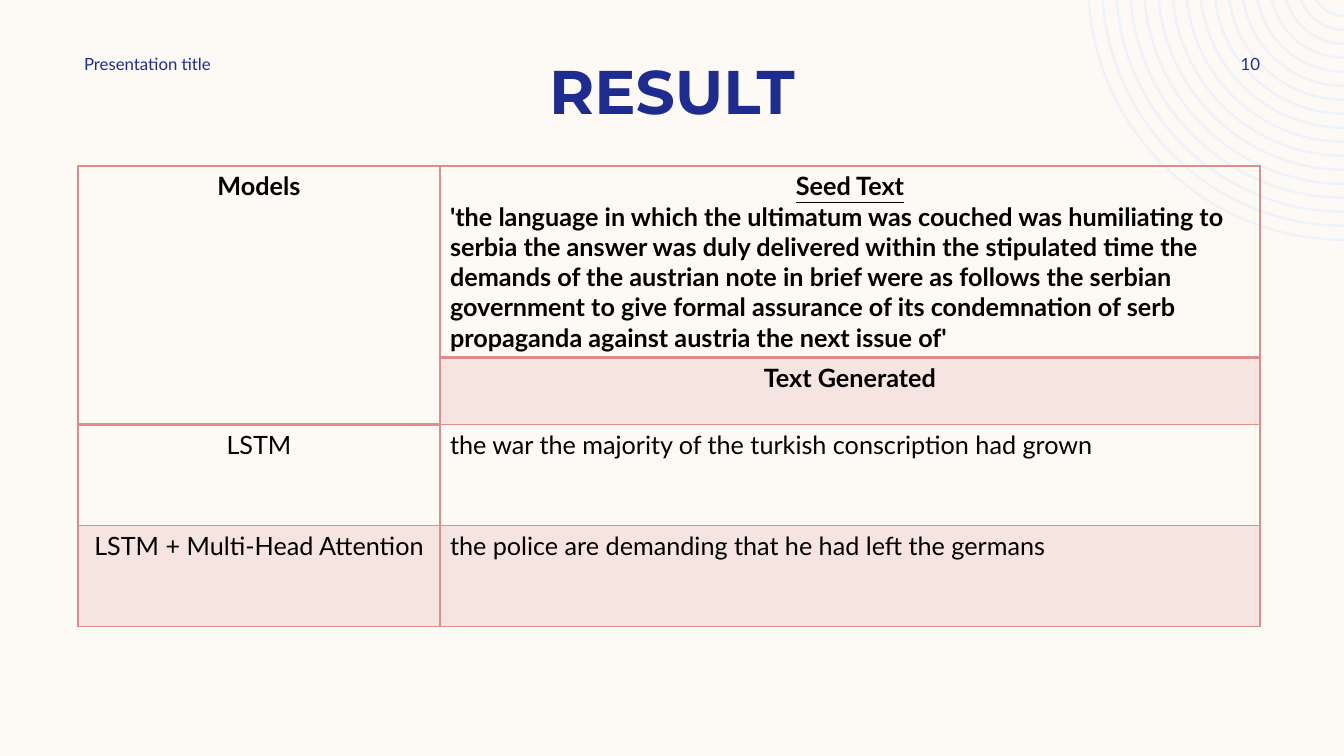
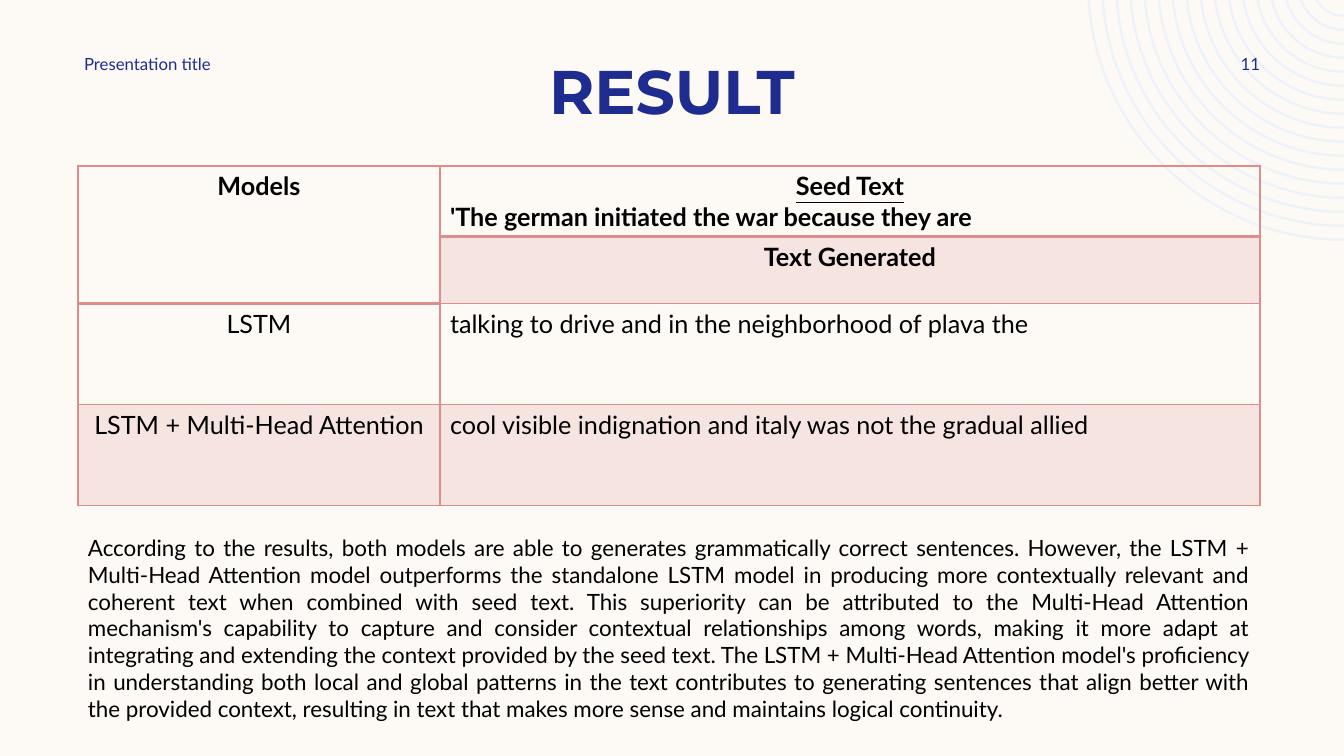
from dataclasses import dataclass
from math import asin, cos, pi, sin, tan

from lxml.etree import SubElement
from pptx import Presentation
from pptx.dml.color import RGBColor
from pptx.enum.text import MSO_ANCHOR, PP_ALIGN
from pptx.oxml.ns import qn


# Shared look
@dataclass(frozen=True)
class Theme:
    paper: str = "FDFAF6"
    navy: str = "1F2C8F"
    ink: str = "000000"
    rose: str = "DE8C8C"
    ring: str = "EEF3FA"
    tint_percent: int = 20
    heading_font: str = "Montserrat"
    body_font: str = "Lato"
    title_size: int = 44
    table_size: int = 18
    body_size: int = 16
    label_size: int = 12
    thin_rule: int = 1
    thick_rule: int = 2


THEME = Theme()
EMU_PER_PIXEL = 914400 / 100.8
EMU_PER_POINT = 12700
PAGE_WIDTH, PAGE_HEIGHT = 1344, 756

# Table geometry
TABLE_LEFT, TABLE_TOP = 78, 166
COLUMN_WIDTHS = (362, 820)
LOWER_ROW_HEIGHTS = (67, 101, 101)
TINTED_CELLS = {(1, 1), (3, 0), (3, 1)}
THICK_EDGES = {(1, 1), (2, 0)}  # cells with a thick rule along their top

# Wording
SEED_LONG = (
    "'the language in which the ultimatum was couched was humiliating to serbia "
    "the answer was duly delivered within the stipulated time the demands of the "
    "austrian note in brief were as follows the serbian government to give formal "
    "assurance of its condemnation of serb propaganda against austria the next issue of'"
)
SEED_SHORT = "'The german initiated the war because they are"
CONCLUSION = (
    "According to the results, both models are able to generates grammatically "
    "correct sentences. However, the LSTM + Multi-Head Attention model outperforms "
    "the standalone LSTM model in producing more contextually relevant and coherent "
    "text when combined with seed text. This superiority can be attributed to the "
    "Multi-Head Attention mechanism's capability to capture and consider contextual "
    "relationships among words, making it more adapt at integrating and extending "
    "the context provided by the seed text. The LSTM + Multi-Head Attention model's "
    "proficiency in understanding both local and global patterns in the text "
    "contributes to generating sentences that align better with the provided context, "
    "resulting in text that makes more sense and maintains logical continuity."
)


def emu(pixels):
    return round(pixels * EMU_PER_PIXEL)


def color(code):
    return RGBColor.from_string(code)


# Text
def write(frame, text, *, size, font=THEME.body_font, ink=THEME.ink,
          bold=False, underline=False, align=PP_ALIGN.LEFT):
    para = frame.add_paragraph() if frame.text else frame.paragraphs[0]
    para.alignment = align
    span = para.add_run()
    span.text = text
    span.font.size = size * EMU_PER_POINT
    span.font.name = font
    span.font.bold = bold
    span.font.underline = underline
    span.font.color.rgb = color(ink)


def add_text(page, text, area, *, anchor=MSO_ANCHOR.TOP, side_insets=(10, 10), **style):
    box = page.shapes.add_textbox(*map(emu, area))
    frame = box.text_frame
    frame.word_wrap = True
    frame.vertical_anchor = anchor
    frame.margin_left, frame.margin_right = map(emu, side_insets)
    write(frame, text, **style)


# Corner decoration: concentric arcs cut by the page's top and right edges
def arc(radius, center):
    """Start, two Bezier controls and end of an arc from the top to the right edge."""
    center_x, center_y = center
    start = asin(-center_y / radius)
    reach = radius * 4 / 3 * tan((pi / 2 - start) / 4)
    left, top = center_x - radius * cos(start), center_y + radius * sin(start)
    bottom = center_y + radius
    points = [(left, top),
              (left + reach * sin(start), top + reach * cos(start)),
              (center_x - reach, bottom),
              (center_x, bottom)]
    return [(emu(x), emu(y)) for x, y in points]


def bend(corners):
    """Turn three straight segments into one Bezier curve."""
    curve = corners[0].makeelement(qn("a:cubicBezTo"))
    corners[0].addprevious(curve)
    for corner in corners:
        curve.append(corner[0])
        corner.getparent().remove(corner)


def add_rings(page, center=(PAGE_WIDTH, -16), largest=257, gap=14, count=17, thickness=2.5):
    builder = None
    for index in range(count):
        radius = largest - gap * index
        outline = arc(radius, center) + arc(radius - thickness, center)[::-1]
        if builder is None:
            builder = page.shapes.build_freeform(*outline[0], scale=1.0)
        else:
            builder.move_to(*outline[0])
        builder.add_line_segments(outline[1:], close=True)
    rings = builder.convert_to_shape()
    segments = list(rings._element.iter(qn("a:lnTo")))
    per_ring = len(segments) // count
    for first in range(0, len(segments), per_ring):
        outer, inner = segments[first:first + 3], segments[first + 4:first + 7]
        bend(outer)
        bend(inner)
    rings.shadow.inherit = False
    rings.fill.solid()
    rings.fill.fore_color.rgb = color(THEME.ring)
    rings.line.fill.background()


# Table
def add_rule(cell, side, width):
    rule = SubElement(cell._tc.get_or_add_tcPr(), qn(f"a:ln{side}"),
                      w=str(width * EMU_PER_POINT))
    fill = SubElement(rule, qn("a:solidFill"))
    SubElement(fill, qn("a:srgbClr"), val=THEME.rose)


def rule_width(edge):
    return THEME.thick_rule if edge in THICK_EDGES else THEME.thin_rule


def frame_cell(cell, row, column):
    height = cell.span_height if cell.is_merge_origin else 1
    add_rule(cell, "L", THEME.thin_rule)
    add_rule(cell, "R", THEME.thin_rule)
    if not cell.is_spanned:
        add_rule(cell, "T", rule_width((row, column)))
    add_rule(cell, "B", rule_width((row + height, column)))


def tint_cell(cell, tinted):
    if not tinted:
        cell.fill.background()
        return
    cell.fill.solid()
    cell.fill.fore_color.rgb = color(THEME.rose)
    tone = cell._tc.tcPr.find(f"{qn('a:solidFill')}/{qn('a:srgbClr')}")
    SubElement(tone, qn("a:alpha"), val=str(THEME.tint_percent * 1000))


def add_results(page, seed, seed_height, lstm_text, attention_text):
    heights = (seed_height, *LOWER_ROW_HEIGHTS)
    area = (TABLE_LEFT, TABLE_TOP, sum(COLUMN_WIDTHS), sum(heights))
    table = page.shapes.add_table(len(heights), len(COLUMN_WIDTHS), *map(emu, area)).table
    table.first_row = table.horz_banding = False
    for column, width in zip(table.columns, COLUMN_WIDTHS):
        column.width = emu(width)
    for row, height in zip(table.rows, heights):
        row.height = emu(height)
    table.cell(0, 0).merge(table.cell(1, 0))

    for row in range(len(heights)):
        for column in range(len(COLUMN_WIDTHS)):
            cell = table.cell(row, column)
            frame_cell(cell, row, column)
            tint_cell(cell, (row, column) in TINTED_CELLS)

    heading = dict(bold=True, align=PP_ALIGN.CENTER)
    label = dict(align=PP_ALIGN.CENTER)
    entries = [
        (0, 0, "Models", heading),
        (0, 1, "Seed Text", dict(heading, underline=True)),
        (0, 1, seed, dict(bold=True)),
        (1, 1, "Text Generated", heading),
        (2, 0, "LSTM", label),
        (2, 1, lstm_text, {}),
        (3, 0, "LSTM + Multi-Head Attention", label),
        (3, 1, attention_text, {}),
    ]
    for row, column, text, style in entries:
        write(table.cell(row, column).text_frame, text, size=THEME.table_size, **style)


# Page with the parts both slides share
def add_page(deck, number):
    page = deck.slides.add_slide(deck.slide_layouts[6])
    add_rings(page)
    add_text(page, "RESULT", (84, 45, 1176, 87), anchor=MSO_ANCHOR.BOTTOM,
             size=THEME.title_size, font=THEME.heading_font, ink=THEME.navy,
             bold=True, align=PP_ALIGN.CENTER)
    label = dict(anchor=MSO_ANCHOR.MIDDLE, size=THEME.label_size, ink=THEME.navy)
    add_text(page, "Presentation title", (84, 50, 353, 27), side_insets=(0, 0), **label)
    add_text(page, str(number), (1151, 50, 109, 27), side_insets=(10, 0),
             align=PP_ALIGN.RIGHT, **label)
    return page


def main():
    deck = Presentation()
    deck.slide_width, deck.slide_height = emu(PAGE_WIDTH), emu(PAGE_HEIGHT)
    backdrop = deck.slide_master.background.fill
    backdrop.solid()
    backdrop.fore_color.rgb = color(THEME.paper)

    # Long seed text
    page = add_page(deck, 10)
    add_results(page, SEED_LONG, 191,
                "the war the majority of the turkish conscription had grown",
                "the police are demanding that he had left the germans")

    # Short seed text and conclusion
    page = add_page(deck, 11)
    add_results(page, SEED_SHORT, 70,
                "talking to drive and in the neighborhood of plava the",
                "cool visible indignation and italy was not the gradual allied")
    add_text(page, CONCLUSION, (78, 529, 1182, 201), size=THEME.body_size,
             align=PP_ALIGN.JUSTIFY)

    deck.save("out.pptx")


main()
